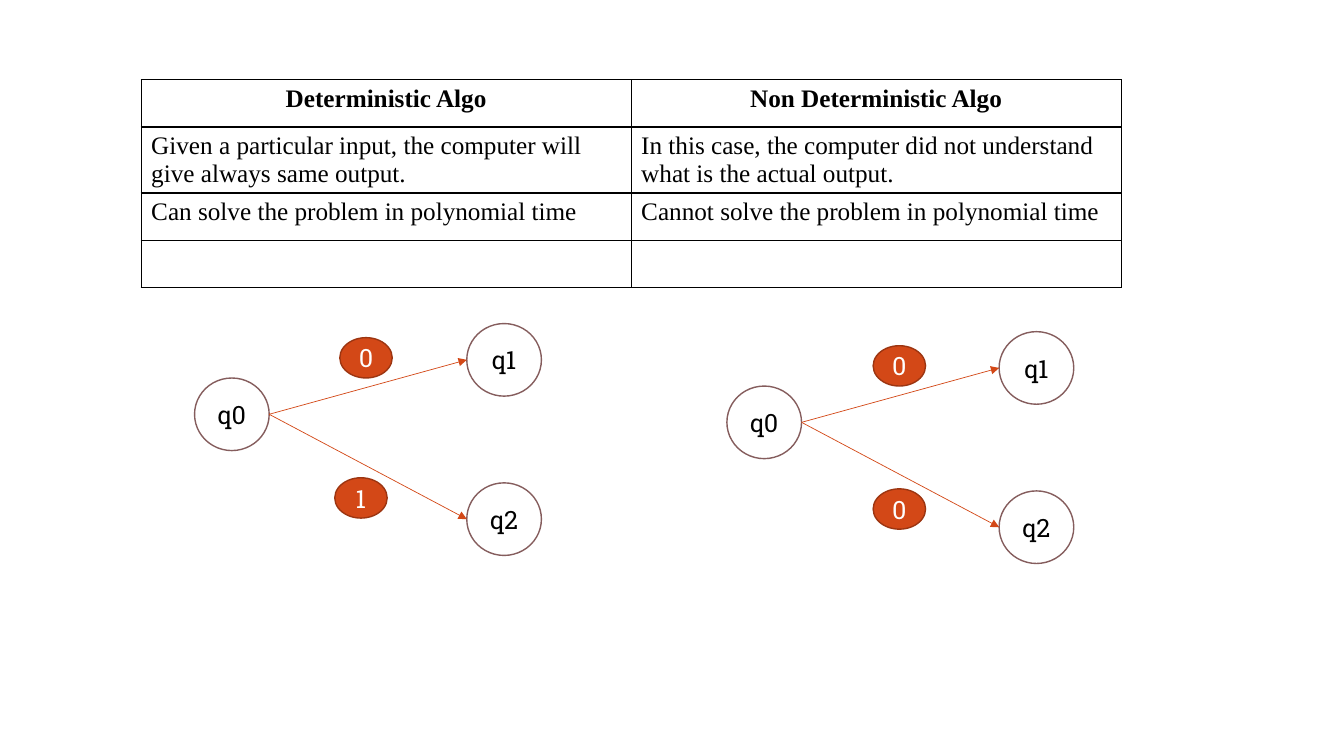
"""Builds a slide comparing deterministic and non-deterministic algorithms."""
import pptx
import pptx.util
import pptx.dml.color
import pptx.enum.shapes
import pptx.enum.text
import pptx.oxml
import pptx.oxml.ns
from lxml import etree

ROWS = [
    ("Deterministic Algo", "Non Deterministic Algo"),
    ("Given a particular input, the computer will give always same output.",
     "In this case, the computer did not understand what is the actual output."),
    ("Can solve the problem in polynomial time",
     "Cannot solve the problem in polynomial time"),
    ("", ""),
]
TABLE = {"left": 1.4, "top": 0.79, "col": 4.86, "row": 0.47}
STATE_SIZE = (0.74, 0.72)
LABEL_SIZE = (0.52, 0.4)
STATES = [("q0", 0, 0.54), ("q1", 2.7, 0), ("q2", 2.7, 1.58)]
AUTOMATA = [
    {"at": (1.93, 3.21), "labels": [("0", 1.44, 0.14), ("1", 1.39, 1.53)]},
    {"at": (7.21, 3.29), "labels": [("0", 1.45, 0.14), ("0", 1.45, 1.56)]},
]
COLORS = {"text": "000000", "white": "FFFFFF", "state_line": "855D5D",
          "accent": "D34817", "label_line": "9C3511"}
TABLE_FONT, NODE_FONT = "Times New Roman", "Roboto Slab"

Inches, Pt = pptx.util.Inches, pptx.util.Pt
CENTER = pptx.enum.text.PP_ALIGN.CENTER
qn = pptx.oxml.ns.qn


def rgb(name):
    return pptx.dml.color.RGBColor.from_string(COLORS[name])


def style_run(r, font, color, bold=False):
    r.font.name, r.font.size, r.font.bold = font, Pt(18), bold
    r.font.color.rgb = rgb(color)


def style_cell(cell):
    pr = cell._tc.get_or_add_tcPr()
    for side in ("lnL", "lnR", "lnT", "lnB"):
        ln = etree.SubElement(pr, qn("a:" + side), w=str(Pt(1)))
        fill = etree.SubElement(ln, qn("a:solidFill"))
        etree.SubElement(fill, qn("a:srgbClr"), val=COLORS["text"])
    cell.fill.background()


def add_comparison(s):
    cols = len(ROWS[0])
    table = s.shapes.add_table(
        len(ROWS), cols, Inches(TABLE["left"]), Inches(TABLE["top"]),
        Inches(TABLE["col"] * cols), Inches(TABLE["row"] * len(ROWS))).table
    for i, row in enumerate(ROWS):
        for j, text in enumerate(row):
            cell = table.cell(i, j)
            style_cell(cell)
            cell.text_frame.text = text
            p = cell.text_frame.paragraphs[0]
            if i == 0:
                p.alignment = CENTER
            for r in p.runs:
                style_run(r, TABLE_FONT, "text", i == 0)


def add_ellipse(s, text, x, y, size, fill, line, color):
    sp = s.shapes.add_shape(pptx.enum.shapes.MSO_SHAPE.OVAL,
                            Inches(x), Inches(y), *map(Inches, size))
    sp.shadow.inherit = False
    sp.fill.solid()
    sp.fill.fore_color.rgb = rgb(fill)
    sp.line.color.rgb = rgb(line)
    sp.line.width = Pt(1)
    tf = sp.text_frame
    tf.text = text
    tf.word_wrap = False
    tf.vertical_anchor = pptx.enum.text.MSO_ANCHOR.MIDDLE
    p = tf.paragraphs[0]
    p.alignment = CENTER
    style_run(p.runs[0], NODE_FONT, color)


def add_arrow(s, start, end):
    line = s.shapes.add_connector(pptx.enum.shapes.MSO_CONNECTOR.STRAIGHT,
                                  *map(Inches, start + end))
    line.line.color.rgb = rgb("accent")
    line.line.width = Pt(0.5)
    etree.SubElement(line.line._get_or_add_ln(), qn("a:tailEnd"), type="triangle")
    etree.SubElement(line._element.spPr, qn("a:effectLst"))


def add_automaton(s, at, labels):
    x, y = at
    width, height = STATE_SIZE
    for text, dx, dy in STATES:
        add_ellipse(s, text, x + dx, y + dy, STATE_SIZE,
                    "white", "state_line", "text")
    _, dx, dy = STATES[0]
    start = (x + dx + width, y + dy + height / 2)
    for _, dx, dy in STATES[1:]:
        add_arrow(s, start, (x + dx, y + dy + height / 2))
    for text, dx, dy in labels:
        add_ellipse(s, text, x + dx, y + dy, LABEL_SIZE,
                    "accent", "label_line", "white")


def main():
    prs = pptx.Presentation()
    prs.slide_width, prs.slide_height = Inches(13.33), Inches(7.5)
    s = prs.slides.add_slide(prs.slide_layouts[6])
    add_comparison(s)
    for automaton in AUTOMATA:
        add_automaton(s, **automaton)
    prs.save("out.pptx")


if __name__ == "__main__":
    main()
